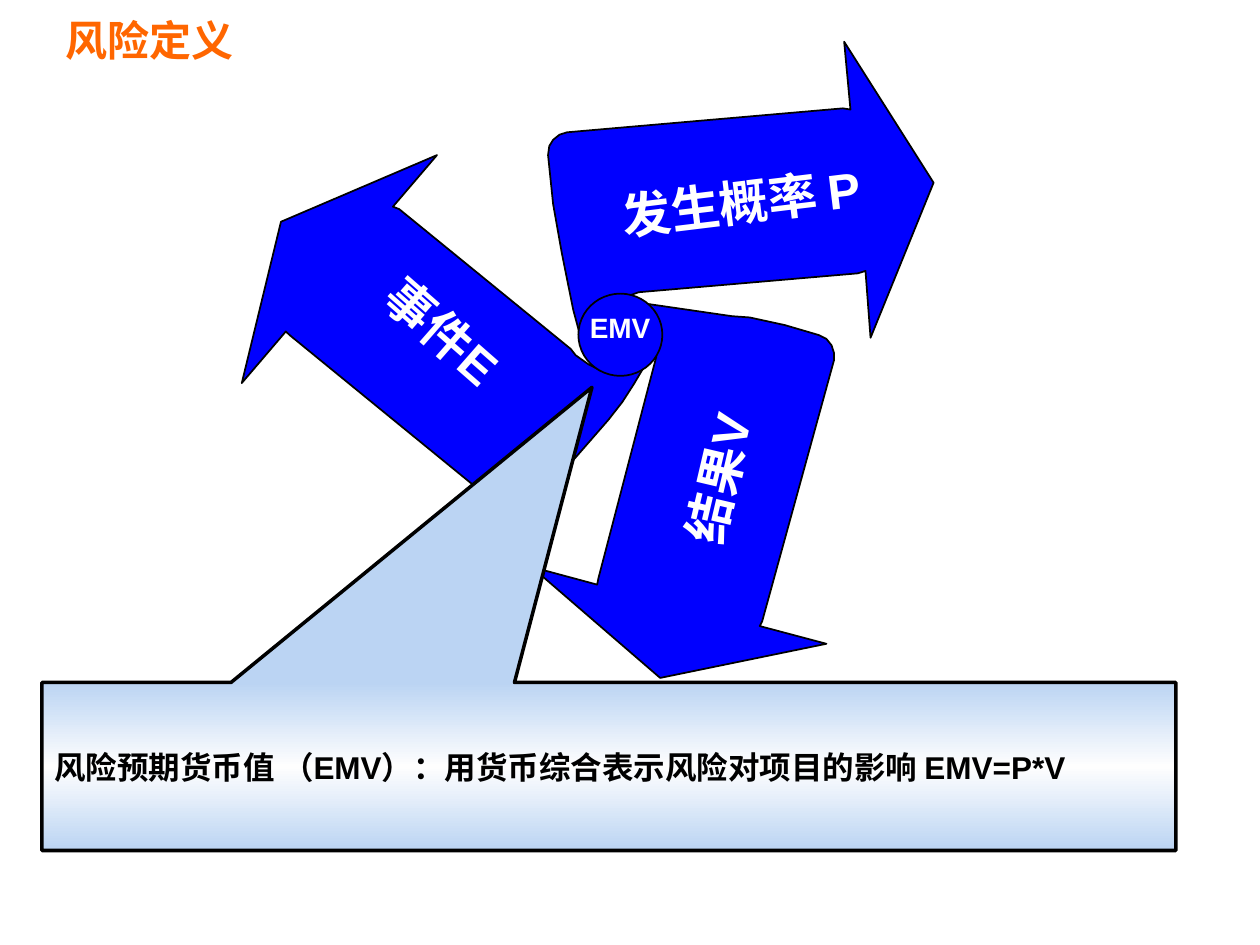
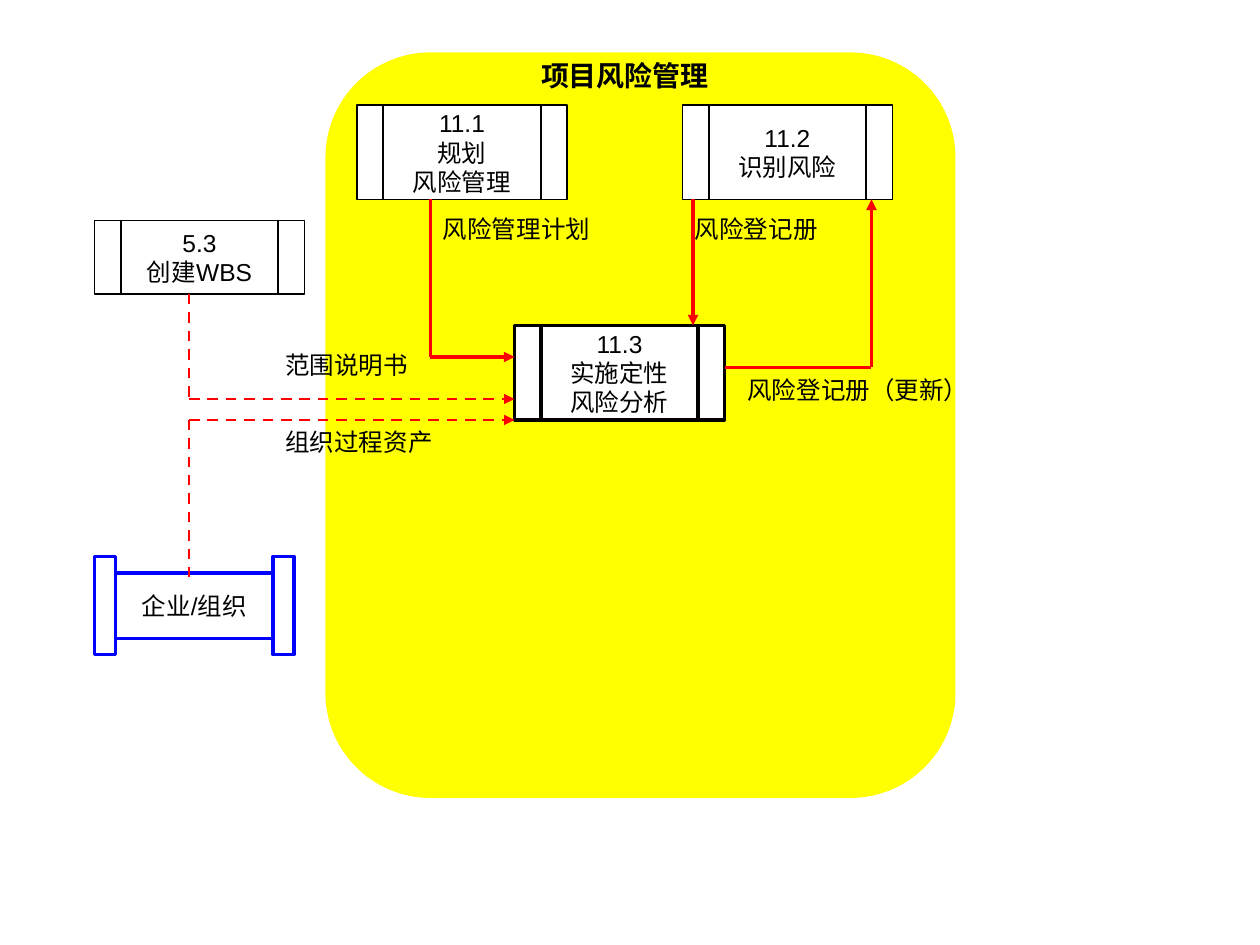
"""Build two slides on risk: its definition and the qualitative analysis flow."""
from copy import deepcopy

from lxml.etree import SubElement
from pptx import Presentation
from pptx.dml.color import RGBColor
from pptx.enum.dml import MSO_LINE
from pptx.enum.shapes import MSO_CONNECTOR, MSO_SHAPE
from pptx.enum.text import MSO_ANCHOR, MSO_AUTO_SIZE, PP_ALIGN
from pptx.oxml.ns import qn
from pptx.util import Pt

COLOURS = {
    "title": "FF6600",
    "arrow": "0000FF",
    "ink": "000000",
    "paper": "FFFFFF",
    "region": "FFFF00",
    "flow": "FF0000",
    "callout_edge": "BBD4F3",
    "callout_middle": "FEFEFE",
}

FONTS = {
    "title": {"size": Pt(24), "bold": True},
    "arrow": {"size": Pt(28), "bold": True},
    "callout": {"size": Pt(18), "bold": True},
    "heading": {"size": Pt(16), "bold": True},
    "label": {"size": Pt(14), "bold": False},
}

PROBABILITY_ARROW = [
    (331.9, 193), (334.1, 187.2), (339.1, 180.7), (346.3, 175.7), (355, 170.6),
    (365, 167), (490.3, 156.2), (494.6, 154.8), (497.5, 193), (533.5, 104.4),
    (482.4, 23.8), (486, 62.6), (481.7, 61.9), (324, 75.6), (319.7, 77),
    (316.1, 79.9), (313.9, 83.5), (313.2, 88.6), (316.1, 116.6),
    (321.1, 144.7), (327.6, 177.1),
]
RESULT_ARROW = [
    (359.3, 172.1), (361.4, 173.5), (365.8, 177.1), (369.4, 182.2),
    (372.2, 188.6), (374.4, 194.4), (375.1, 200.9), (375.1, 203.8),
    (342, 330.5), (341.3, 334.1), (303.8, 324), (377.3, 387.4),
    (472.3, 367.9), (434.2, 357.8), (435.6, 355), (476.6, 205.9),
    (476.6, 201.6), (475.2, 197.3), (472.3, 193.7), (468, 191.5),
    (448.6, 185.8), (428.4, 181.4), (418.3, 180.7),
]
EVENT_ARROW = [
    (371.5, 203), (365, 208.8), (357.1, 213.1), (349.9, 213.8),
    (343.4, 211.7), (336.2, 208.1), (329, 203), (326.2, 199.4),
    (228.2, 119.5), (224.6, 118.1), (249.8, 88.6), (160.6, 126.7),
    (138.2, 218.9), (163.4, 189.4), (165.6, 191.5), (287.3, 290.9),
    (291.6, 293), (295.9, 293.8), (301, 292.3), (304.6, 289.4),
    (347.8, 239.8), (355.7, 229.7), (362.2, 219.6), (368.6, 208.8),
]


def colour(name):
    return RGBColor.from_string(COLOURS[name])


def points(*lengths):
    return [Pt(length) for length in lengths]


class Sketch:
    """Hold the deck style and the current page, and draw each kind of element."""

    def __init__(self):
        self.deck = Presentation()
        self.deck.slide_width, self.deck.slide_height = points(720, 540)
        self.page = None

    def add_page(self, layout):
        self.page = self.deck.slides.add_slide(
            self.deck.slide_layouts.get_by_name(layout))

    def fill_text(self, box, text, font, ink="ink", align=PP_ALIGN.LEFT, spacing=1.0,
                  **frame_values):
        frame = box.text_frame
        for name, value in {"word_wrap": True, **frame_values}.items():
            setattr(frame, name, value)
        for index, line in enumerate(text.split("\n")):
            para = frame.add_paragraph() if index else frame.paragraphs[0]
            para.alignment, para.line_spacing = align, spacing
            span = para.add_run()
            span.text = line
            for name, value in {"name": "Arial", **FONTS[font]}.items():
                setattr(span.font, name, value)
            span.font.color.rgb = colour(ink)

    def title(self, text, *place):
        box = self.page.shapes.title
        box.left, box.top, box.width, box.height = points(*place)
        self.fill_text(box, text, "title", "title", auto_size=MSO_AUTO_SIZE.NONE,
                       vertical_anchor=MSO_ANCHOR.MIDDLE)

    def text(self, text, place, font="label", turn=0, **style):
        box = self.page.shapes.add_textbox(*points(*place))
        self.fill_text(box, text, font, auto_size=MSO_AUTO_SIZE.SHAPE_TO_FIT_TEXT,
                       **style)
        box.rotation = turn

    def label(self, text, left, top, width=156):
        self.text(text, (left, top, width, 16), spacing=0.5)

    def paint(self, shape, fill, edge="ink", weight=1):
        shape.shadow.inherit = False
        shape.fill.solid()
        shape.fill.fore_color.rgb = colour(fill)
        if edge:
            shape.line.color.rgb = colour(edge)
            shape.line.width = Pt(weight)
        else:
            shape.line.fill.background()
        return shape

    def shape(self, kind, place, fill="paper", edge="ink", weight=1):
        shape = self.page.shapes.add_shape(kind, *points(*place))
        return self.paint(shape, fill, edge, weight)

    def outline(self, corners):
        start, *rest = [tuple(points(*corner)) for corner in corners]
        builder = self.page.shapes.build_freeform(*start)
        builder.add_line_segments(rest)
        self.paint(builder.convert_to_shape(), "arrow")

    def node(self, text, place, kind=MSO_SHAPE.FLOWCHART_PREDEFINED_PROCESS, **style):
        box = self.shape(kind, place, **style)
        self.fill_text(box, text, "label", align=PP_ALIGN.CENTER, word_wrap=False,
                       vertical_anchor=MSO_ANCHOR.MIDDLE)

    def callout(self, text, place, tip):
        box = self.shape(MSO_SHAPE.RECTANGULAR_CALLOUT, place, weight=2)
        for index, value in enumerate(tip):
            box.adjustments[index] = value
        box.fill.gradient()
        box.fill.gradient_angle = 90
        stop_list = box._element.spPr.find(".//" + qn("a:gsLst"))
        stop_list.append(deepcopy(stop_list[-1]))
        names = ["callout_edge", "callout_middle", "callout_edge"]
        for stop, name, position in zip(box.fill.gradient_stops, names, [0, 0.5, 1]):
            stop.color.rgb = colour(name)
            stop.position = position
        self.fill_text(box, text, "callout", vertical_anchor=MSO_ANCHOR.MIDDLE)

    def flow(self, *corners, dashed=False):
        for start, end in zip(corners, corners[1:]):
            line = self.page.shapes.add_connector(
                MSO_CONNECTOR.STRAIGHT, *points(*start, *end))
            line.line.color.rgb = colour("flow")
            line.line.width = Pt(1.5 if dashed else 2)
            if dashed:
                line.line.dash_style = MSO_LINE.DASH
            properties = line._element.spPr
            if end == corners[-1]:
                SubElement(properties.find(qn("a:ln")), qn("a:tailEnd"), type="triangle")
            SubElement(properties, qn("a:effectLst"))


def draw_definition(sketch):
    sketch.add_page("Title Only")
    sketch.title("风险定义", 30, 0, 330, 45)
    for arrow in (RESULT_ARROW, PROBABILITY_ARROW, EVENT_ARROW):
        sketch.outline(arrow)
    sketch.shape(MSO_SHAPE.OVAL, (330.5, 167.8, 48, 47), "arrow")
    for text, place, turn, align in (
        ("事件E", (202.5, 185, 138, 41), 41.3, PP_ALIGN.LEFT),
        ("发生概率 P", (348, 94.3, 160, 41), 353, PP_ALIGN.LEFT),
        ("结果V", (341.3, 252.7, 138, 41), 283.2, PP_ALIGN.CENTER),
    ):
        sketch.text(text, place, "arrow", turn, ink="paper", align=align)
    sketch.callout("风险预期货币值 （EMV）：用货币综合表示风险对项目的影响 EMV=P*V",
                   (24, 390, 648, 96), (-0.015, -2.257))
    sketch.text("EMV", (330, 174, 66, 27), "heading", ink="paper")


def draw_analysis_flow(sketch):
    sketch.add_page("Blank")
    sketch.shape(MSO_SHAPE.ROUNDED_RECTANGLE, (186, 30, 360, 426), "region", None)
    sketch.text("项目风险管理", (276, 30, 162, 27), "heading", align=PP_ALIGN.CENTER)
    for text, place, weight in (
        ("11.1\n规划\n风险管理", (204, 60, 120, 54), 1),
        ("11.2\n识别风险", (390, 60, 120, 54), 1),
        ("11.3\n实施定性\n风险分析", (294, 186, 120, 54), 2),
        ("5.3\n创建WBS", (54, 126, 120, 42), 1),
    ):
        sketch.node(text, place, weight=weight)
    sketch.node("企业/组织", (66, 327.5, 90, 37.5), MSO_SHAPE.RECTANGLE,
                edge="arrow", weight=2)
    for left in (54, 156):
        sketch.shape(MSO_SHAPE.RECTANGLE, (left, 318, 12, 56), edge="arrow", weight=2)
    sketch.flow((246, 114), (246, 204), (294, 204))
    sketch.flow((396, 114), (396, 186))
    sketch.flow((414, 210), (498, 210), (498, 114))
    sketch.flow((108, 168), (108, 228), (294, 228), dashed=True)
    sketch.flow((108, 330), (108, 240), (294, 240), dashed=True)
    sketch.label("风险管理计划", 246, 126)
    sketch.label("风险登记册", 390, 126)
    sketch.label("风险登记册（更新）", 420, 218)
    sketch.label("范围说明书", 156, 204, 102)
    sketch.label("组织过程资产", 156, 248, 102)


def main():
    sketch = Sketch()
    draw_definition(sketch)
    draw_analysis_flow(sketch)
    sketch.deck.save("out.pptx")


if __name__ == "__main__":
    main()
